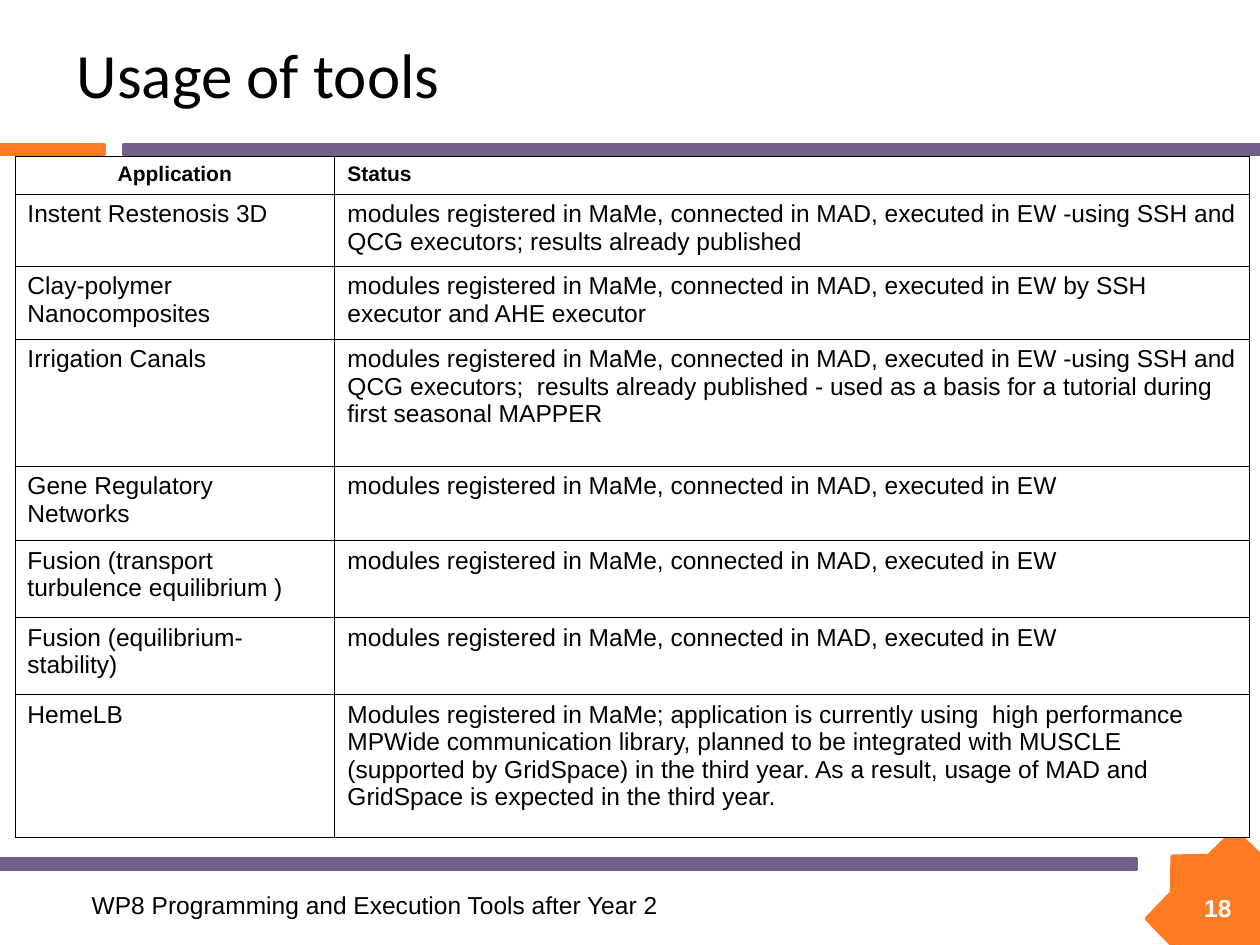
from math import cos, pi, sin

from lxml.etree import SubElement
from pptx import Presentation
from pptx.dml.color import RGBColor
from pptx.enum.shapes import MSO_SHAPE
from pptx.enum.text import MSO_ANCHOR as ANCHOR, PP_ALIGN as ALIGN
from pptx.oxml.ns import qn
from pptx.util import Cm, Pt

COLORS = {"orange": "FE7B23", "purple": "745E8C", "black": "000000", "white": "FFFFFF"}
COLUMNS = (6.45, 18.44)
CONNECTED = "modules registered in MaMe, connected in MAD, executed in EW"
HEADER = ("Application", "Status")
PUBLISHED_ROWS = [
    (0.76, *HEADER),
    (1.45, "Instent Restenosis 3D",
     CONNECTED + " -using SSH and QCG executors; results already published"),
    (1.47, "Clay-polymer Nanocomposites", CONNECTED + " by SSH executor and AHE executor"),
    (2.57, "Irrigation Canals",
     CONNECTED + " -using SSH and QCG executors;  results already published"
     " - used as a basis for a tutorial during first seasonal MAPPER"),
]
OTHER_ROWS = [
    (1.5, "Gene Regulatory Networks", CONNECTED),
    (1.55, "Fusion (transport turbulence equilibrium )", CONNECTED),
    (1.55, "Fusion (equilibrium-stability)", CONNECTED),
    (2.87, "HemeLB",
     "Modules registered in MaMe; application is currently using  high performance "
     "MPWide communication library, planned to be integrated with MUSCLE (supported by "
     "GridSpace) in the third year. As a result, usage of MAD and GridSpace is expected "
     "in the third year."),
]


def rgb(name):
    """Return the named colour."""
    return RGBColor.from_string(COLORS[name])


def style_text(p, size, font="Arial", color="black", bold=False, align=ALIGN.LEFT):
    """Set the font and alignment of a paragraph."""
    p.alignment = align
    p.font.size, p.font.name, p.font.bold = Pt(size), font, bold
    p.font.color.rgb = rgb(color)


def paint(sp, color):
    """Give a shape one colour for fill and line."""
    sp.shadow.inherit = False
    sp.fill.solid()
    sp.fill.fore_color.rgb = rgb(color)
    sp.line.color.rgb = rgb(color)
    sp.line.width = Pt(2)


def add_bar(s, x, y, w, h, color):
    """Draw a plain coloured bar."""
    paint(s.shapes.add_shape(MSO_SHAPE.RECTANGLE, Cm(x), Cm(y), Cm(w), Cm(h)), color)


def add_label(s, x, y, w, h, text, size, anchor=ANCHOR.MIDDLE, **style):
    """Add a one-paragraph text box and return its paragraph."""
    tf = s.shapes.add_textbox(Cm(x), Cm(y), Cm(w), Cm(h)).text_frame
    tf.word_wrap, tf.vertical_anchor = True, anchor
    p = tf.paragraphs[0]
    p.text = text
    style_text(p, size, **style)
    return p


def add_star(s, x, y, size):
    """Draw an eight-pointed star in a square box."""
    outer, inner = size / 2, size * 0.387
    points = []
    for i in range(16):
        radius, angle = (inner if i % 2 else outer), pi + i * pi / 8
        points.append((Cm(x + outer + radius * cos(angle)),
                       Cm(y + outer + radius * sin(angle))))
    builder = s.shapes.build_freeform(*points[0])
    builder.add_line_segments(points[1:], close=True)
    paint(builder.convert_to_shape(), "orange")


def add_borders(cell):
    """Draw thin black lines around a cell."""
    tc_pr = cell._tc.get_or_add_tcPr()
    for side in ("lnL", "lnR", "lnT", "lnB"):
        ln = SubElement(tc_pr, qn(f"a:{side}"), w=str(Pt(0.45)))
        fill = SubElement(ln, qn("a:solidFill"))
        SubElement(fill, qn("a:srgbClr"), val=COLORS["black"])


def add_status_table(s, x, y, rows):
    """Add a table of applications and their status."""
    height = sum(row[0] for row in rows)
    table = s.shapes.add_table(len(rows), len(COLUMNS), Cm(x), Cm(y),
                               Cm(sum(COLUMNS)), Cm(height)).table
    table.first_row = table.horz_banding = False
    for column, width in zip(table.columns, COLUMNS):
        column.width = Cm(width)
    for row, (row_height, *texts) in zip(table.rows, rows):
        row.height = Cm(row_height)
        for cell, text in zip(row.cells, texts):
            add_borders(cell)
            cell.fill.solid()
            cell.fill.fore_color.rgb = rgb("white")
            cell.text = text
            header = text in HEADER
            style_text(cell.text_frame.paragraphs[0], 12 if header else 14, bold=header,
                       align=ALIGN.CENTER if text == HEADER[0] else ALIGN.LEFT)


def add_header(s, x, y, w):
    """Draw the title and the split bar below it."""
    add_bar(s, x + 2.5, y + 2.92, w - 2.5, 0.2, "purple")
    add_bar(s, x, y + 2.92, 2.1, 0.2, "orange")
    title = add_label(s, x + 1.3, y + 0.53, 17.2, 2, "Usage of tools", 36, font="Calibri")
    title.line_spacing = 0.98


def add_footer(s, x, y):
    """Draw the footer bar, the star with the page number and the footer text."""
    add_star(s, x + 23.11, y, 3.56)
    add_label(s, x + 23.7, y + 1.14, 1.7, 0.84, "18", 14, ANCHOR.TOP,
              color="white", bold=True, align=ALIGN.CENTER)
    add_bar(s, x, y + 0.58, 22.91, 0.2, "purple")
    add_label(s, x + 1.6, y + 1.12, 22.8, 0.74,
              "WP8 Programming and Execution Tools after Year 2", 14)


def main():
    """Build the slide and save it."""
    prs = Presentation()
    prs.slide_width, prs.slide_height = Cm(25.4), Cm(19.05)
    s = prs.slides.add_slide(prs.slide_layouts[6])
    add_header(s, 0, 0, 25.4)
    add_footer(s, 0, 16.74)
    add_status_table(s, 0.3, 3.15, PUBLISHED_ROWS)
    add_status_table(s, 0.3, 9.4, OTHER_ROWS)
    prs.save("out.pptx")


if __name__ == "__main__":
    main()
